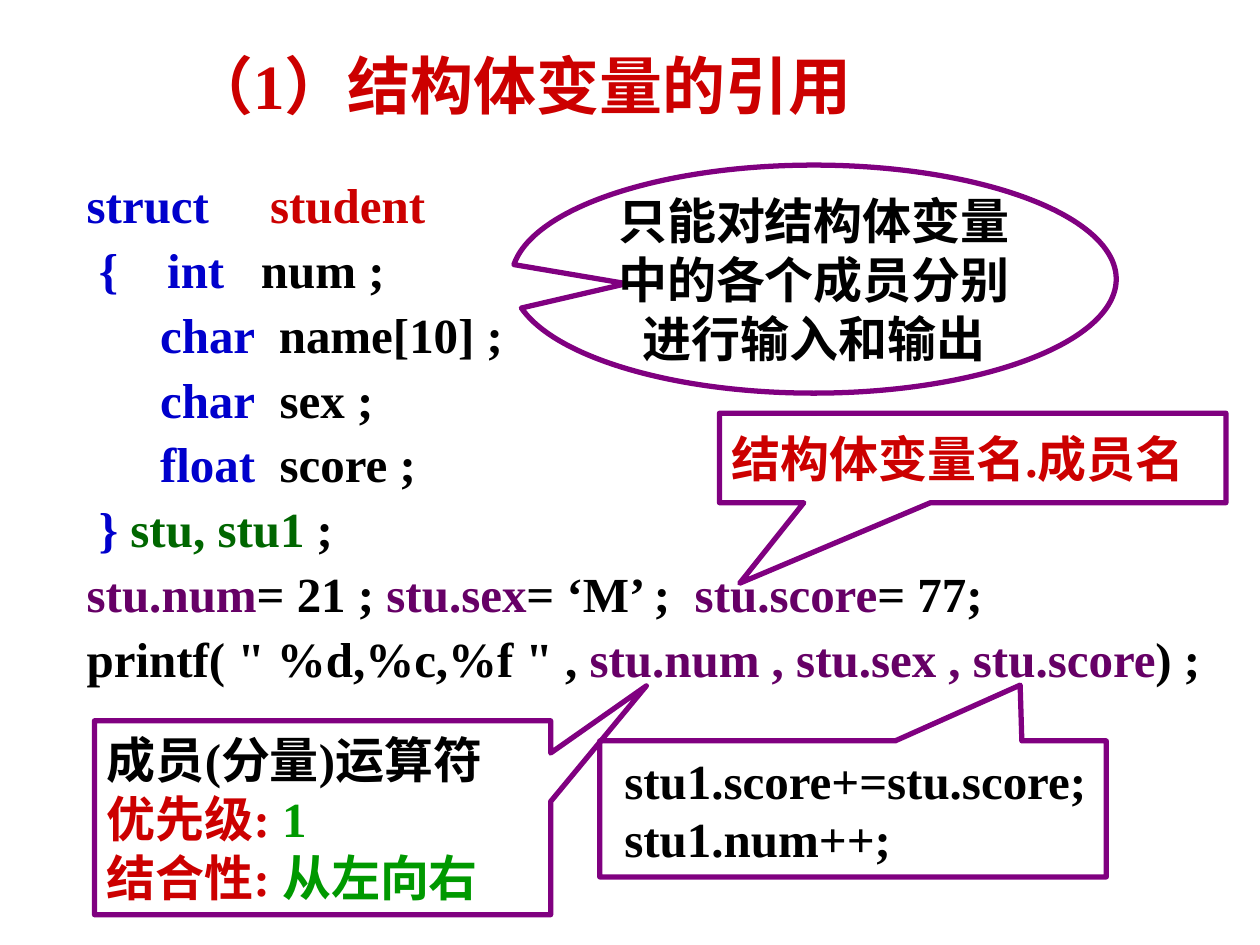
from pptx import Presentation
from pptx.dml.color import RGBColor
from pptx.enum.shapes import MSO_SHAPE
from pptx.enum.text import MSO_ANCHOR, PP_ALIGN
from pptx.util import Inches, Pt

THEME = {
    "black": "000000", "white": "FFFFFF", "red": "CC0000", "blue": "0000CC",
    "dark_green": "006600", "green": "009900", "plum": "660066",
    "outline": "800080", "outline_width": 3,
    "serif": "Times New Roman", "sans": "Arial",
    "title_size": 36, "text_size": 28,
}
SLIDE_W, SLIDE_H = Inches(10), Inches(7.5)

# Content: each paragraph is a list of (text, colour) runs.
# Areas are left, top, width, height in percent of the slide.
HEADING = [[("（1）结构体变量的引用", "red")]]
HEADING_AREA = (6.7, 3.73, 69.3, 10.4)

CODE = [
    [("struct     ", "blue"), ("student", "red")],
    [(" ", "black"), ("{    int", "blue"), ("   num ;", "black")],
    [("      ", "black"), ("char ", "blue"), (" name[10] ;", "black")],
    [("      char", "blue"), ("  sex ;", "black")],
    [("      ", "black"), ("float ", "blue"), (" score ;", "black")],
    [(" } ", "blue"), ("stu, stu1", "dark_green"), (" ;", "black")],
    [("stu.num", "plum"), ("= 21 ; ", "black"), ("stu.sex", "plum"),
     ("= ‘M’ ; ", "black"), (" stu.score", "plum"), ("= 77;", "black")],
    [('printf( " %d,%c,%f " , ', "black"),
     ("stu.num , stu.sex , stu.score", "plum"), (") ;", "black")],
]
CODE_AREA = (5.9, 18.53, 91.3, 56.67)

CALLOUTS = [
    {"kind": MSO_SHAPE.OVAL_CALLOUT, "area": (40.6, 17.47, 48, 24.13),
     "pointer": (-0.31, 0.02), "fill": None,
     "format": {"font": "sans", "align": PP_ALIGN.CENTER},
     "text": [[("只能对结构体变量中的各个成员分别进行输入和输出", "black")]]},
    {"kind": MSO_SHAPE.RECTANGULAR_CALLOUT, "area": (57.1, 43.73, 40.2, 9.47),
     "pointer": (-0.46, 1.4), "fill": "white", "format": {},
     "text": [[("结构体变量名.成员名", "red")]]},
    {"kind": MSO_SHAPE.RECTANGULAR_CALLOUT, "area": (7.5, 76.27, 36.2, 20.53),
     "pointer": (0.71, -0.68), "fill": "white", "format": {},
     "text": [[("成员(分量)运算符", "black")],
              [("优先级: ", "red"), ("1", "green")],
              [("结合性: ", "red"), ("从左向右", "green")]]},
    {"kind": MSO_SHAPE.RECTANGULAR_CALLOUT, "area": (47.6, 78.4, 40.2, 14.4),
     "pointer": (0.33, -0.91), "fill": None, "format": {},
     "text": [[(" stu1.score+=stu.score;", "black")],
              [(" stu1.num++;", "black")]]},
]


def color(name):
    return RGBColor.from_string(THEME[name])


def place(area):
    left, top, width, height = (share / 100 for share in area)
    return (round(left * SLIDE_W), round(top * SLIDE_H),
            round(width * SLIDE_W), round(height * SLIDE_H))


def write(frame, paragraphs, *, font="serif", size="text_size",
          align=PP_ALIGN.LEFT, anchor=MSO_ANCHOR.MIDDLE, spacing=1.0, gap=0):
    frame.word_wrap = True
    frame.vertical_anchor = anchor
    for index, runs in enumerate(paragraphs):
        line = frame.add_paragraph() if index else frame.paragraphs[0]
        line.alignment = align
        line.line_spacing = spacing
        line.space_before = Pt(gap if index else 0)
        for words, tint in runs:
            run = line.add_run()
            run.text = words
            run.font.name = THEME[font]
            run.font.size = Pt(THEME[size])
            run.font.bold = True
            run.font.color.rgb = color(tint)


deck = Presentation()
deck.slide_width, deck.slide_height = SLIDE_W, SLIDE_H
slide = deck.slides.add_slide(deck.slide_layouts[6])

# Heading and code listing
heading = slide.shapes.add_textbox(*place(HEADING_AREA))
write(heading.text_frame, HEADING, size="title_size", align=PP_ALIGN.CENTER)
listing = slide.shapes.add_textbox(*place(CODE_AREA))
write(listing.text_frame, CODE, anchor=MSO_ANCHOR.TOP, spacing=0.9, gap=6.8)

# Callouts pointing into the code
for note in CALLOUTS:
    callout = slide.shapes.add_shape(note["kind"], *place(note["area"]))
    callout.shadow.inherit = False
    for index, offset in enumerate(note["pointer"]):
        callout.adjustments[index] = offset
    if note["fill"]:
        callout.fill.solid()
        callout.fill.fore_color.rgb = color(note["fill"])
    else:
        callout.fill.background()
    callout.line.color.rgb = color("outline")
    callout.line.width = Pt(THEME["outline_width"])
    write(callout.text_frame, note["text"], **note["format"])

deck.save("out.pptx")
